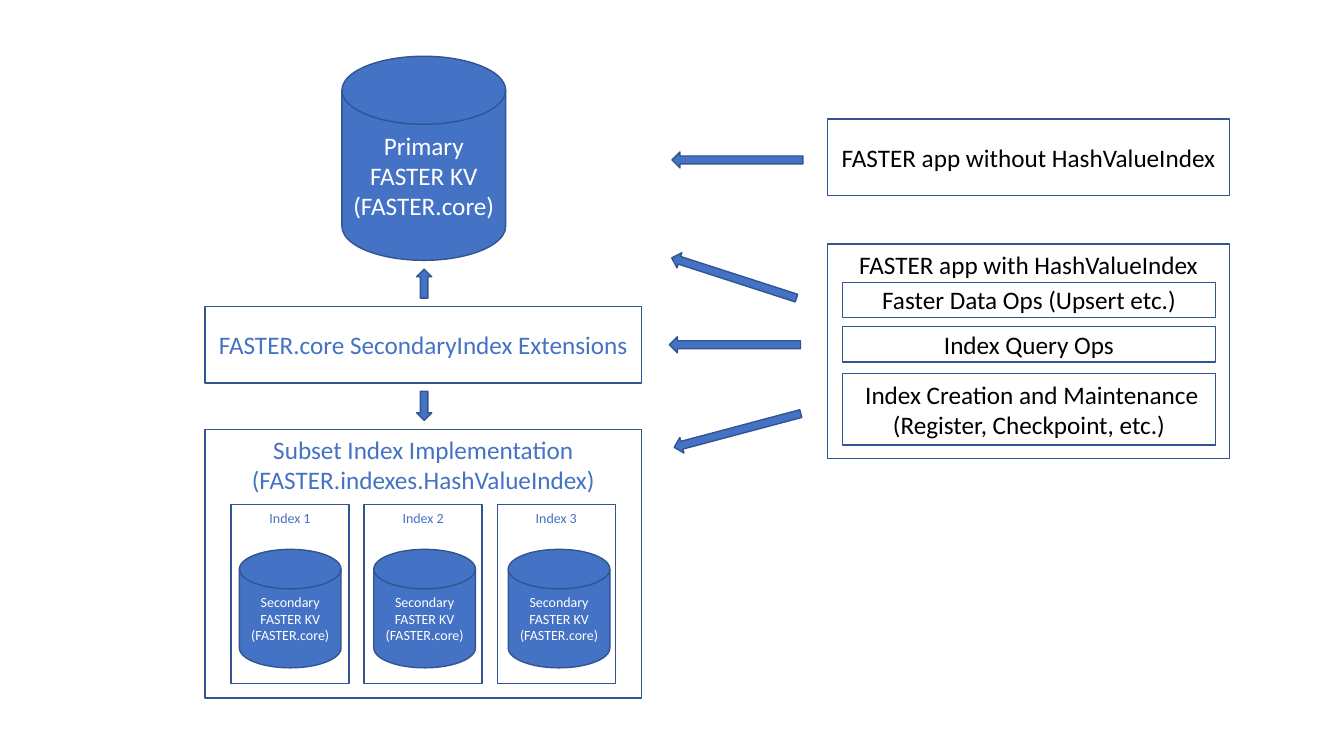
"""Builds the FASTER secondary index architecture slide on a 160 by 90 grid."""
from copy import deepcopy
from pptx import Presentation
from pptx.dml.color import RGBColor
from pptx.enum.shapes import MSO_SHAPE as S
from pptx.enum.text import MSO_ANCHOR as ANCHOR, PP_ALIGN as ALIGN
from pptx.oxml.ns import qn
from pptx.util import Inches, Pt

COLORS = {"blue": "4472C4", "edge": "325491", "white": "FFFFFF", "black": "000000"}

prs = Presentation()
prs.slide_width, prs.slide_height = Inches(13.333), Inches(7.5)
col, row = prs.slide_width / 160, prs.slide_height / 90
slide = prs.slides.add_slide(prs.slide_layouts[6])


def add_shape(kind, x, y, w, h, fill=None, rotation=0):
    sp = slide.shapes.add_shape(kind, int(x * col), int(y * row), int(w * col), int(h * row))
    sp.shadow.inherit = False
    sp.rotation = rotation
    sp.line.color.rgb = RGBColor.from_string(COLORS["edge"])
    sp.line.width = Pt(1)
    if fill:
        sp.fill.solid()
        sp.fill.fore_color.rgb = RGBColor.from_string(COLORS[fill])
    else:
        sp.fill.background()
    return sp


def add_text(sp, text, color, size=18, anchor=ANCHOR.MIDDLE):
    tf = sp.text_frame
    tf.word_wrap = True
    tf.vertical_anchor = anchor
    p = tf.paragraphs[0]
    p.text = text
    p.alignment = ALIGN.CENTER
    for r in p.runs:
        for name, value in {"name": "Calibri", "size": Pt(size)}.items():
            setattr(r.font, name, value)
        r.font.color.rgb = RGBColor.from_string(COLORS[color])
    for br in p._p.findall(qn("a:br")):
        br.append(deepcopy(p.runs[0]._r.rPr))


left, box_w, box_h = 24.4, 52, 9.1
app_x, app_w = 98.5, 47.9

subset = add_shape(S.RECTANGLE, left, 51.1, box_w, 32)
add_text(subset, "Subset Index Implementation\v(FASTER.indexes.HashValueIndex)", "blue", anchor=ANCHOR.TOP)

primary = add_shape(S.FLOWCHART_MAGNETIC_DISK, 40.7, 6.7, 19.5, 24.3, "blue")
add_text(primary, "Primary\vFASTER KV\v(FASTER.core)", "white")

for i in range(3):
    disk = add_shape(S.FLOWCHART_MAGNETIC_DISK, 28.5 + 16 * i, 65.4, 12.1, 14.1, "blue")
    add_text(disk, "Secondary\vFASTER KV\v(FASTER.core)", "white", 10)
    index = add_shape(S.RECTANGLE, 27.5 + 15.85 * i, 60.1, 14.05, 21.25)
    add_text(index, f"Index {i + 1}", "blue", 10, ANCHOR.TOP)

extensions = add_shape(S.RECTANGLE, left, 36.5, box_w, box_h)
add_text(extensions, "FASTER.core SecondaryIndex Extensions", "blue")

for kind, y in ((S.UP_ARROW, 32.05), (S.DOWN_ARROW, 46.6)):
    add_shape(kind, 49.6, y, 1.8, 3.45, "blue")

plain_app = add_shape(S.RECTANGLE, app_x, 14.15, app_w, box_h)
add_text(plain_app, "FASTER app without HashValueIndex", "black")
index_app = add_shape(S.RECTANGLE, app_x, 29.05, app_w, 25.55)
add_text(index_app, "FASTER app with HashValueIndex", "black", anchor=ANCHOR.TOP)

for x, y, rotation in ((80, 18.1, 0), (79.6, 32.15, 17.9), (80, 50.3, 345.1), (79.7, 40.1, 0)):
    add_shape(S.LEFT_ARROW, x, y, 15.6, 1.9, "blue", rotation)

for y, h, text in (
    (33.6, 4.2, "Faster Data Ops (Upsert etc.)"),
    (38.9, 4.2, "Index Query Ops"),
    (44.5, 8.5, " Index Creation and Maintenance (Register, Checkpoint, etc.)"),
):
    add_text(add_shape(S.RECTANGLE, app_x + 1.8, y, 44.4, h), text, "black")

prs.save("out.pptx")
